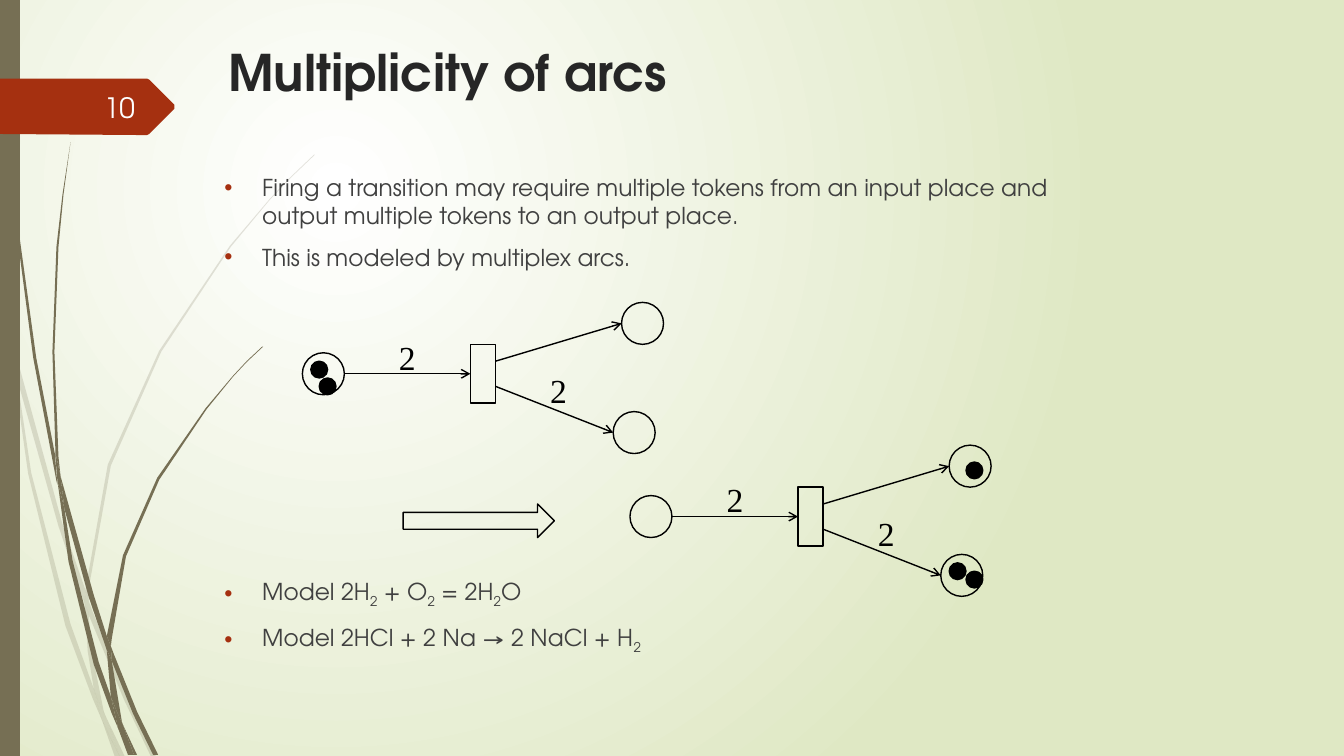
from lxml.etree import SubElement
from pptx import Presentation
from pptx.dml.color import RGBColor
from pptx.enum.shapes import MSO_CONNECTOR, MSO_SHAPE
from pptx.enum.text import MSO_ANCHOR, MSO_AUTO_SIZE, PP_ALIGN
from pptx.oxml.ns import qn
from pptx.util import Pt

PX = 9525
GRAIN = 9144  # unit of the grass outlines: a hundredth of an inch
SANS, SERIF = "TeX Gyre Adventor", "Times New Roman"
OLIVE, RUST, BLACK = "766F54", "A53010", "000000"

# Grass blades: corner points of each outline
PALE = [
    [(11, 350), (9, 322), (0, 282), (0, 299), (10, 344)],
    [(58, 522), (84, 599), (85, 586), (62, 520), (14, 345), (17, 376)],
    [(92, 607), (88, 596), (88, 610), (123, 694), (150, 751), (155, 751),
     (127, 692)],
    [(119, 751), (124, 751), (105, 711)],
    [(93, 683), (70, 619), (31, 469), (17, 376), (11, 350), (28, 470),
     (65, 621), (92, 693), (101, 714), (99, 707)],
    [(84, 599), (87, 646), (93, 683), (96, 692), (105, 711), (103, 706),
     (91, 646), (88, 610), (88, 608)],
    [(88, 584), (110, 462), (160, 349), (229, 245), (268, 198), (290, 175),
     (312, 154), (312, 153), (289, 175), (268, 197), (228, 244), (158, 348),
     (107, 461), (85, 584), (85, 586), (88, 596)],
    [(101, 714), (114, 751), (119, 751)],
    [(88, 608), (88, 610), (88, 596), (85, 586), (84, 599)],
    [(96, 692), (93, 683), (99, 707), (101, 714), (119, 751), (105, 711)],
]
DARK = [
    [(7, 110), (17, 233), (33, 355), (56, 477), (57, 481), (55, 457),
     (55, 453), (36, 355), (19, 232), (8, 109), (5, 48), (4, 0), (3, 0),
     (4, 48)],
    [(88, 592), (106, 645), (106, 633), (106, 631), (93, 590), (60, 472),
     (64, 505)],
    [(113, 649), (110, 641), (111, 656), (132, 708), (152, 749), (157, 749),
     (136, 706)],
    [(110, 691), (98, 657), (72, 556), (64, 505), (57, 477), (68, 557),
     (93, 659), (111, 708), (117, 722), (116, 717)],
    [(60, 472), (58, 453), (54, 349), (58, 245), (63, 193), (70, 141),
     (62, 193), (56, 245), (52, 349), (55, 449)],
    [(133, 749), (136, 749), (122, 719)],
    [(57, 477), (64, 505), (60, 472), (55, 449), (55, 453)],
    [(111, 633), (125, 552), (158, 476), (205, 406), (231, 374), (245, 359),
     (261, 344), (260, 344), (245, 358), (231, 373), (204, 405), (156, 474),
     (122, 551), (106, 631), (110, 641)],
    [(117, 722), (127, 749), (131, 749)],
    [(106, 645), (110, 691), (116, 706), (122, 719), (121, 716), (111, 656),
     (109, 651)],
    [(106, 645), (109, 651), (111, 656), (110, 641), (106, 631), (106, 633)],
    [(116, 706), (110, 691), (116, 717), (117, 722), (130, 749), (133, 749),
     (122, 719)],
]
# Slide number flag, in the same unit
FLAG = [(173, 108), (148, 133), (146, 134), (136, 134), (0, 133), (0, 78),
        (136, 78), (146, 78), (148, 79), (173, 104)]


def color(code):
    return RGBColor.from_string(code)


def box(*sizes):
    return [size * PX for size in sizes]


def paint(shape, fill=None, line=None):
    shape.shadow.inherit = False
    if fill:
        shape.fill.solid()
        shape.fill.fore_color.rgb = color(fill)
    else:
        shape.fill.background()
    if line:
        shape.line.color.rgb = color(line)
        shape.line.width = Pt(1)
    else:
        shape.line.fill.background()


def draw(slide, kind, place, fill=None, line=BLACK):
    shape = slide.shapes.add_shape(kind, *box(*place))
    paint(shape, fill, line)


def trace(slide, edge, fill, alpha=None):
    path = slide.shapes.build_freeform(*edge[0], scale=GRAIN)
    path.add_line_segments(edge[1:])
    shape = path.convert_to_shape()
    paint(shape, fill)
    if alpha:
        tint = shape.element.spPr.find(".//" + qn("a:srgbClr"))
        SubElement(tint, qn("a:alpha"), {"val": str(alpha * 1000)})


def style(para, size, code, face, bold=False):
    font = para.font
    font.size, font.name, font.bold = Pt(size), face, bold
    font.color.rgb = color(code)


def label(slide, place, text, size, code, face, align):
    frame = slide.shapes.add_textbox(*box(*place)).text_frame
    frame.word_wrap = True
    para = frame.paragraphs[0]
    para.text, para.alignment = text, align
    style(para, size, code, face)
    return frame


def backdrop(slide):
    fill = slide.background.fill
    fill.gradient()
    for stop, code in zip(fill.gradient_stops, ("FFFFFF", "DFE8C4")):
        stop.color.rgb = color(code)
    grad = slide.element.find(".//" + qn("a:gradFill"))
    grad.remove(grad.find(qn("a:lin")))
    glow = SubElement(grad, qn("a:path"), {"path": "circle"})
    SubElement(glow, qn("a:fillToRect"),
               {"l": "50000", "t": "50000", "r": "100000", "b": "100000"})


def side(slide):
    for edge in PALE:
        trace(slide, edge, OLIVE, 20)
    for edge in DARK:
        trace(slide, edge, OLIVE)
    draw(slide, MSO_SHAPE.RECTANGLE, (0, 0, 19, 720), OLIVE, None)
    trace(slide, FLAG, RUST)


def number(slide, place, text):
    frame = label(slide, place, text, 20, "FEFFFF", SANS, PP_ALIGN.RIGHT)
    frame.vertical_anchor = MSO_ANCHOR.MIDDLE


def seat(slide, shape, place):
    """Move a placeholder into its box, in front of the grass."""
    shape.left, shape.top, shape.width, shape.height = box(*place)
    slide.shapes.element.append(shape.element)
    frame = shape.text_frame
    frame.word_wrap = True
    frame.auto_size = MSO_AUTO_SIZE.NONE
    frame.vertical_anchor = MSO_ANCHOR.TOP
    return frame


def title(slide, place, text):
    para = seat(slide, slide.shapes.title, place).paragraphs[0]
    para.text, para.alignment = text, PP_ALIGN.LEFT
    style(para, 36, "262626", SANS, True)


def bullets(slide, place, items):
    """Each item is (space before, text); "_" lowers the next letter."""
    frame = seat(slide, slide.placeholders[1], place)
    for i, (gap, text) in enumerate(items):
        para = frame.add_paragraph() if i else frame.paragraphs[0]
        first, *rest = text.split("_")
        para.add_run().text = first
        for part in rest:
            low = para.add_run()
            low.text = part[0]
            low.font._element.set("baseline", "-25000")
            if part[1:]:
                para.add_run().text = part[1:]
        props = para._p.get_or_add_pPr()
        props.set("marL", str(36 * PX))
        props.set("indent", str(-36 * PX))
        SubElement(SubElement(props, qn("a:buClr")), qn("a:srgbClr"),
                   {"val": RUST})
        SubElement(props, qn("a:buFont"), {"typeface": "Arial"})
        SubElement(props, qn("a:buChar"), {"char": "•"})
        para.space_before = Pt(gap)
        style(para, 16.65, "404040", SANS)


def arc(slide, start, end):
    line = slide.shapes.add_connector(MSO_CONNECTOR.STRAIGHT,
                                      *box(*start, *end))
    line.line.color.rgb = color(BLACK)
    line.line.width = Pt(1)
    SubElement(line.line._get_or_add_ln(), qn("a:tailEnd"), {"type": "arrow"})
    SubElement(line.element.spPr, qn("a:effectLst"))


def net(slide, left, top, tokens):
    def at(x, y):
        return left + x, top + y

    # Places and transition
    for x, y in ((0, 48), (304, 0), (296, 104)):
        draw(slide, MSO_SHAPE.OVAL, (*at(x, y), 40, 40))
    draw(slide, MSO_SHAPE.RECTANGLE, (*at(160, 40), 24, 56))
    # Arcs and their weights
    arc(slide, at(40, 68), at(160, 68))
    arc(slide, at(184, 56), at(304, 20))
    arc(slide, at(184, 80), at(296, 124))
    for x, y in ((80, 32), (224, 64)):
        frame = label(slide, (*at(x, y), 40, 45), "2", 24, BLACK, SERIF,
                      PP_ALIGN.CENTER)
        frame.paragraphs[0].line_spacing = 0.9
    # Tokens
    for x, y in tokens:
        draw(slide, MSO_SHAPE.OVAL, (*at(x, y), 16, 16), BLACK)


def main():
    deck = Presentation()
    deck.slide_width, deck.slide_height = box(1280, 720)
    slide = deck.slides.add_slide(deck.slide_layouts[1])
    backdrop(slide)
    side(slide)
    title(slide, (208, 34, 528, 110), "Multiplicity of arcs")
    bullets(slide, (204, 160, 852, 464), [
        (0, "Firing a transition may require multiple tokens from an input "
            "place and output multiple tokens to an output place."),
        (10, "This is modeled by multiplex arcs."),
        (219, "Model 2H_2 + O_2 = 2H_2O"),
        (10, "Model 2HCl + 2 Na → 2 NaCl + H_2"),
    ])
    # Net before and after firing
    net(slide, 288, 288, [(16, 72), (8, 56)])
    net(slide, 600, 424, [(304, 112), (320, 16), (320, 120)])
    draw(slide, MSO_SHAPE.RIGHT_ARROW, (384, 480, 144, 32))
    number(slide, (56, 83, 82, 38), "10")
    deck.save("out.pptx")


if __name__ == "__main__":
    main()
